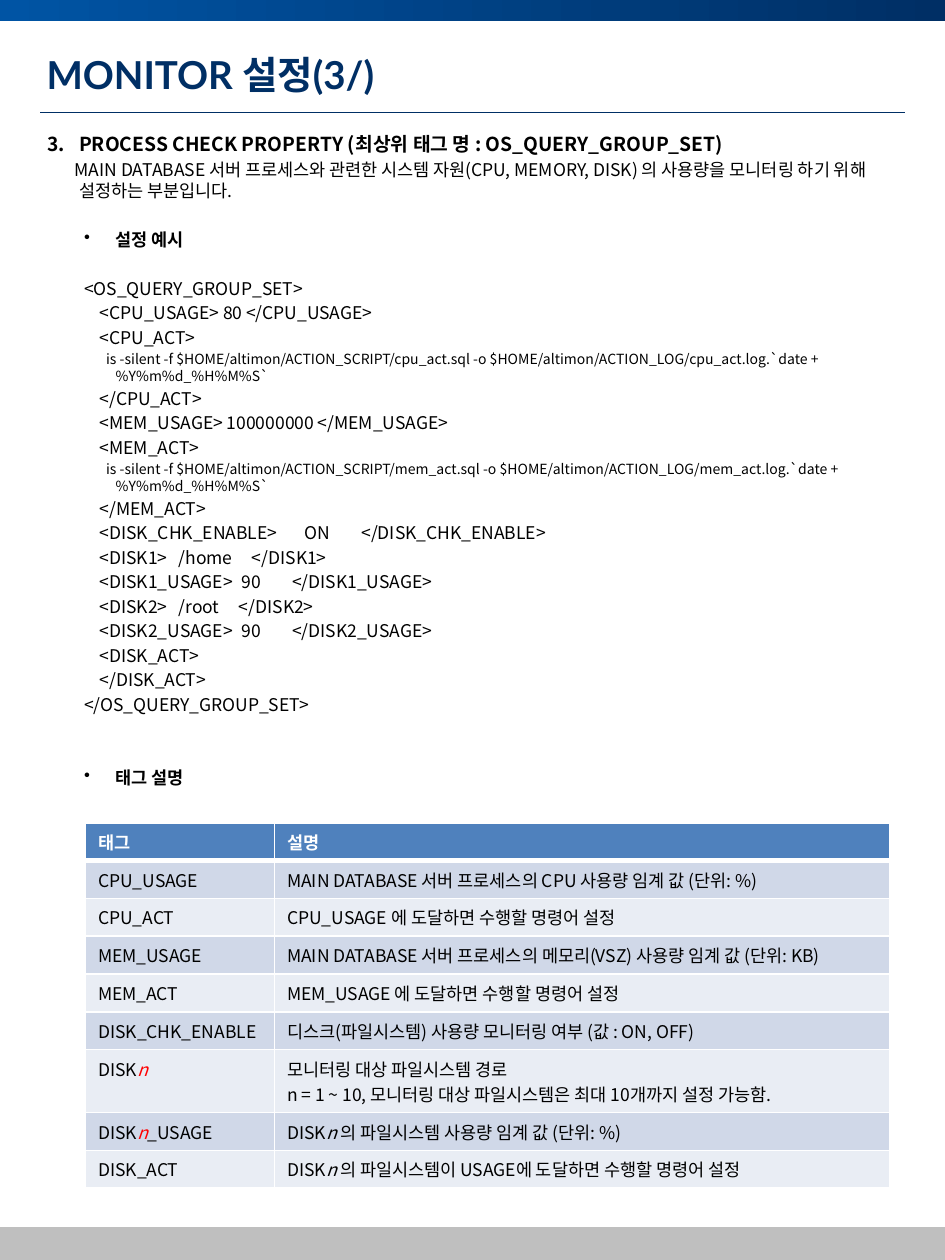
from dataclasses import dataclass

from lxml import etree
from pptx import Presentation
from pptx.dml.color import RGBColor
from pptx.enum.shapes import MSO_CONNECTOR, MSO_SHAPE
from pptx.enum.text import MSO_ANCHOR, MSO_AUTO_SIZE, PP_ALIGN
from pptx.oxml.ns import qn
from pptx.util import Inches, Pt

RECT, STRAIGHT = MSO_SHAPE.RECTANGLE, MSO_CONNECTOR.STRAIGHT
MIDDLE, TOP, LEFT = MSO_ANCHOR.MIDDLE, MSO_ANCHOR.TOP, PP_ALIGN.LEFT
NO_FIT = MSO_AUTO_SIZE.NONE
TITLE_ONLY = 5
COLUMNS, ROWS = 75, 100


@dataclass(frozen=True)
class Theme:
    navy: str = "002F65"
    blue: str = "0054A4"
    footer: str = "BFBFBF"
    header: str = "4F81BD"
    bands: tuple = ("D0D8E8", "E9EDF4")
    white: str = "FFFFFF"
    black: str = "000000"
    accent: str = "FF0000"
    title_font: str = "Lato"
    text_font: str = "Noto Sans CJK KR"
    code_font: str = "Noto Sans CJK SC"
    title_size: int = 22
    heading_size: int = 11
    body_size: int = 10
    command_size: int = 8
    line_height: float = 1.2
    space_before: float = 0.2


class SlideBuilder:
    def __init__(self, prs, theme):
        self.theme = theme
        self.column = prs.slide_width / COLUMNS
        self.row = prs.slide_height / ROWS
        self.slide = prs.slides.add_slide(prs.slide_layouts[TITLE_ONLY])

    def place(self, left, top, width, height):
        """Turn grid columns and rows into slide lengths."""
        return (int(left * self.column), int(top * self.row),
                int(width * self.column), int(height * self.row))

    def run(self, paragraph, text, size=None, color=None, font=None, bold=False, italic=False):
        run = paragraph.add_run()
        run.text = text
        run.font.size = Pt(size or self.theme.body_size)
        run.font.bold, run.font.italic = bold, italic
        run.font.color.rgb = RGBColor.from_string(color or self.theme.black)
        run.font.name = font or self.theme.text_font
        east_asian = self.theme.text_font if font == self.theme.title_font else run.font.name
        etree.SubElement(run.font._element, qn("a:ea"), typeface=east_asian)

    def title(self, text, *area):
        title = self.slide.shapes.title
        title.left, title.top, title.width, title.height = self.place(*area)
        frame = title.text_frame
        frame.auto_size, frame.vertical_anchor = NO_FIT, MIDDLE
        frame.paragraphs[0].alignment = LEFT
        self.run(frame.paragraphs[0], text, self.theme.title_size, self.theme.navy,
                 self.theme.title_font, bold=True)

    def band(self, colors, *area):
        """Draw a bar in one colour, or in a gradient of two."""
        bar = self.slide.shapes.add_shape(RECT, *self.place(*area))
        bar.shadow.inherit = False
        bar.line.fill.background()
        if len(colors) == 1:
            bar.fill.solid()
            bar.fill.fore_color.rgb = RGBColor.from_string(colors[0])
            return
        bar.fill.gradient()
        bar.fill.gradient_angle = 0
        for stop, color in zip(bar.fill.gradient_stops, colors):
            stop.color.rgb = RGBColor.from_string(color)

    def rule(self, left, top, width):
        x, y, length, _ = self.place(left, top, width, 0)
        line = self.slide.shapes.add_connector(STRAIGHT, x, y, x + length, y)
        line.line.color.rgb = RGBColor.from_string(self.theme.navy)
        line.line.width = Pt(0.5)
        etree.SubElement(line._element.spPr, qn("a:effectLst"))

    def text_box(self, *area):
        frame = self.slide.shapes.add_textbox(*self.place(*area)).text_frame
        frame.word_wrap = True
        return frame

    def paragraph(self, frame, text, margin, hanging, size=None, gap=0, bullet=None, **style):
        """Add a paragraph; gap is extra space before it, in body lines."""
        theme = self.theme
        size = size or theme.body_size
        first = not frame.paragraphs[0].runs
        paragraph = frame.paragraphs[0] if first else frame.add_paragraph()
        props = paragraph._p.get_or_add_pPr()
        props.set("marL", str(int(margin * self.column)))
        props.set("indent", str(int(-hanging * self.column)))
        if bullet:
            tag, attributes = bullet
            etree.SubElement(props, qn(tag), **attributes)
        paragraph.line_spacing = Pt(size * theme.line_height)
        if not first:
            blank_line = theme.body_size * (theme.line_height + theme.space_before)
            paragraph.space_before = Pt(round(size * theme.space_before + gap * blank_line, 1))
        self.run(paragraph, text, size, **style)

    def border(self, cell, side, width):
        """Add one white cell edge; call in the order L, R, T, B."""
        line = etree.SubElement(cell._tc.get_or_add_tcPr(), qn(f"a:ln{side}"), w=str(Pt(width)))
        fill = etree.SubElement(line, qn("a:solidFill"))
        etree.SubElement(fill, qn("a:srgbClr"), val=self.theme.white)

    def cell(self, cell, paragraphs, is_header, color):
        for side in "LRTB":
            self.border(cell, side, 3 if is_header and side == "B" else 1)
        cell.fill.solid()
        cell.fill.fore_color.rgb = RGBColor.from_string(color)
        cell.vertical_anchor = TOP
        for i, runs in enumerate(paragraphs):
            paragraph = cell.text_frame.paragraphs[0] if i == 0 else cell.text_frame.add_paragraph()
            for text, style in runs:
                self.run(paragraph, text, **style)

    def table(self, rows, widths, heights, left, top):
        area = self.place(left, top, sum(widths), sum(heights))
        table = self.slide.shapes.add_table(len(rows), len(widths), *area).table
        table.horz_banding = False
        for column, width in zip(table.columns, widths):
            column.width = int(width * self.column)
        for r, (row, height) in enumerate(zip(rows, heights)):
            table.rows[r].height = int(height * self.row)
            color = self.theme.bands[(r - 1) % 2] if r else self.theme.header
            for c, paragraphs in enumerate(row):
                self.cell(table.cell(r, c), paragraphs, r == 0, color)


THEME = Theme()
NUMBER = ("a:buAutoNum", {"type": "arabicPeriod", "startAt": "3"})
DOT = ("a:buChar", {"char": "•"})

CONFIG = """<OS_QUERY_GROUP_SET>
    <CPU_USAGE> 80 </CPU_USAGE>
    <CPU_ACT>
       is -silent -f $HOME/altimon/ACTION_SCRIPT/cpu_act.sql -o $HOME/altimon/ACTION_LOG/cpu_act.log.`date +%Y%m%d_%H%M%S`
    </CPU_ACT>
    <MEM_USAGE> 100000000 </MEM_USAGE>
    <MEM_ACT>
       is -silent -f $HOME/altimon/ACTION_SCRIPT/mem_act.sql -o $HOME/altimon/ACTION_LOG/mem_act.log.`date +%Y%m%d_%H%M%S`
    </MEM_ACT>
    <DISK_CHK_ENABLE>\tON        </DISK_CHK_ENABLE>
    <DISK1>  \t/home     </DISK1>
    <DISK1_USAGE> \t90        </DISK1_USAGE>
    <DISK2>  \t/root     </DISK2>
    <DISK2_USAGE> \t90        </DISK2_USAGE>
    <DISK_ACT>
    </DISK_ACT>
</OS_QUERY_GROUP_SET>"""


def plain(*lines):
    return [[(line, {})] for line in lines]


def heading(text):
    return [[(text, {"color": THEME.white, "bold": True})]]


def disk_tag(suffix=""):
    tag = [("DISK", {}), ("n", {"color": THEME.accent, "italic": True})]
    return [tag + [(suffix, {})] if suffix else tag]


def disk_note(text):
    return [[("DISK", {}), ("n ", {"italic": True}), (text, {})]]


TAGS = [
    (heading("태그"), heading("설명")),
    (plain("CPU_USAGE"), plain("MAIN DATABASE 서버 프로세스의 CPU 사용량 임계 값 (단위: %)")),
    (plain("CPU_ACT"), plain("CPU_USAGE 에 도달하면 수행할 명령어 설정")),
    (plain("MEM_USAGE"), plain("MAIN DATABASE 서버 프로세스의 메모리(VSZ) 사용량 임계 값 (단위: KB)")),
    (plain("MEM_ACT"), plain("MEM_USAGE 에 도달하면 수행할 명령어 설정")),
    (plain("DISK_CHK_ENABLE"), plain("디스크(파일시스템) 사용량 모니터링 여부 (값 : ON, OFF)")),
    (disk_tag(), plain("모니터링 대상 파일시스템 경로",
                       "n = 1 ~ 10, 모니터링 대상 파일시스템은 최대 10개까지 설정 가능함.")),
    (disk_tag("_USAGE"), disk_note("의 파일시스템 사용량 임계 값 (단위: %)")),
    (plain("DISK_ACT"), disk_note("의 파일시스템이 USAGE에 도달하면 수행할 명령어 설정")),
]


def main():
    prs = Presentation()
    prs.slide_width, prs.slide_height = Inches(7.5), Inches(10)
    page = SlideBuilder(prs, THEME)
    page.band([THEME.blue, THEME.navy], 0, 0, COLUMNS, 1.7)
    page.band([THEME.footer], 0, 97.4, COLUMNS, 2.6)
    page.rule(3.2, 8.9, 68.6)
    page.title("MONITOR 설정(3/)", 2.7, 3, 69.6, 5.8)

    body = page.text_box(2.8, 10, 69.3, 82.5)
    page.paragraph(body, "PROCESS CHECK PROPERTY (최상위 태그 명 : OS_QUERY_GROUP_SET)",
                   2.5, 2.5, THEME.heading_size, bullet=NUMBER, bold=True)
    page.paragraph(body, "MAIN DATABASE 서버 프로세스와 관련한 시스템 자원(CPU, MEMORY, DISK) 의 "
                   "사용량을 모니터링 하기 위해 설정하는 부분입니다.", 2.5, 0.35)
    page.paragraph(body, "설정 예시", 5.4, 2.5, gap=1, bullet=DOT, bold=True)
    for i, line in enumerate(CONFIG.splitlines()):
        size = THEME.command_size if "-silent" in line else THEME.body_size
        page.paragraph(body, line, 5.4, 2.5, size, gap=int(i == 0), font=THEME.code_font)
    page.paragraph(body, "태그 설명", 5.4, 2.5, gap=2, bullet=DOT, bold=True)

    heights = [3 if len(note) == 1 else 5 for _, note in TAGS]
    page.table(TAGS, [15, 48.8], heights, 6.8, 65.3)
    prs.save("out.pptx")


if __name__ == "__main__":
    main()
